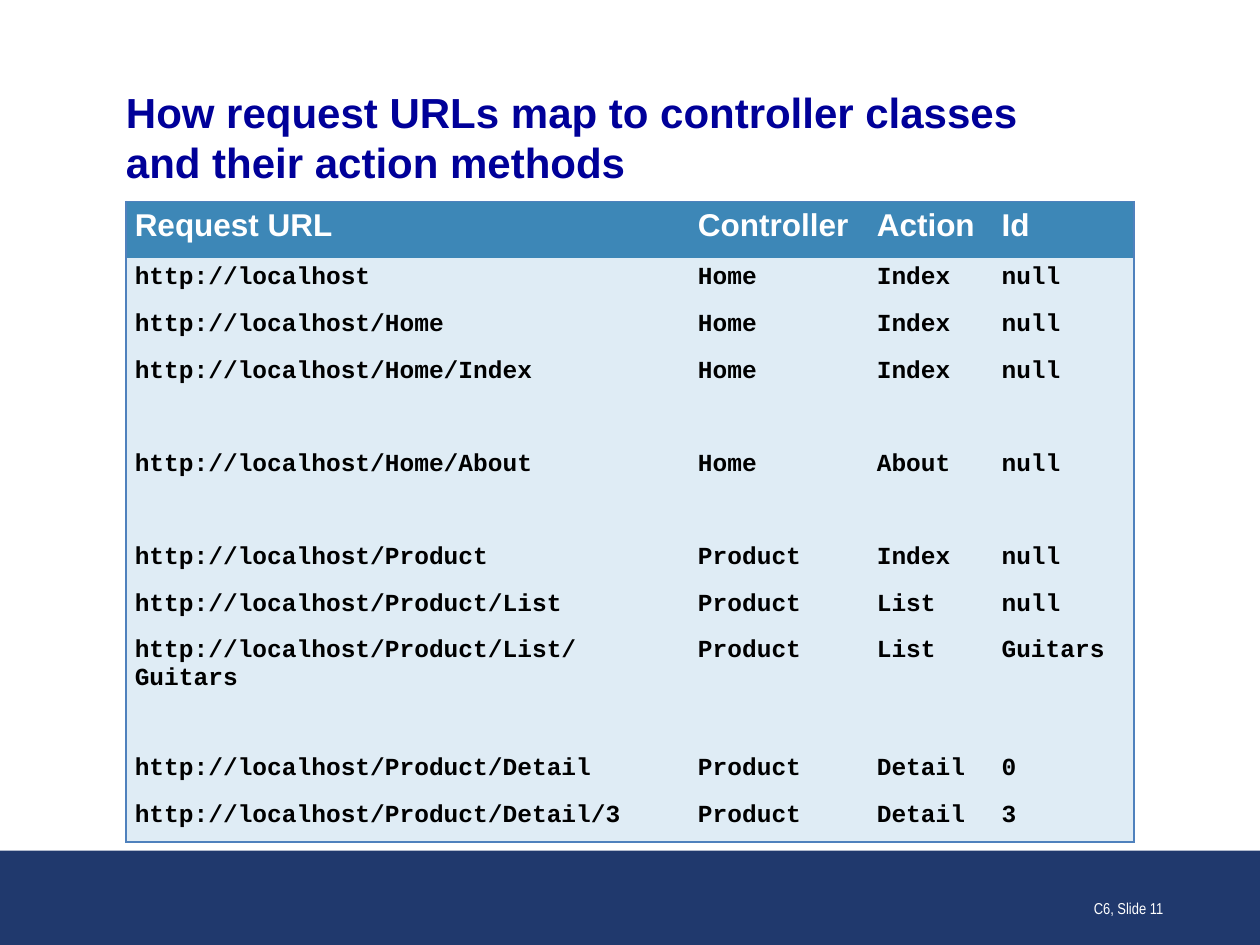
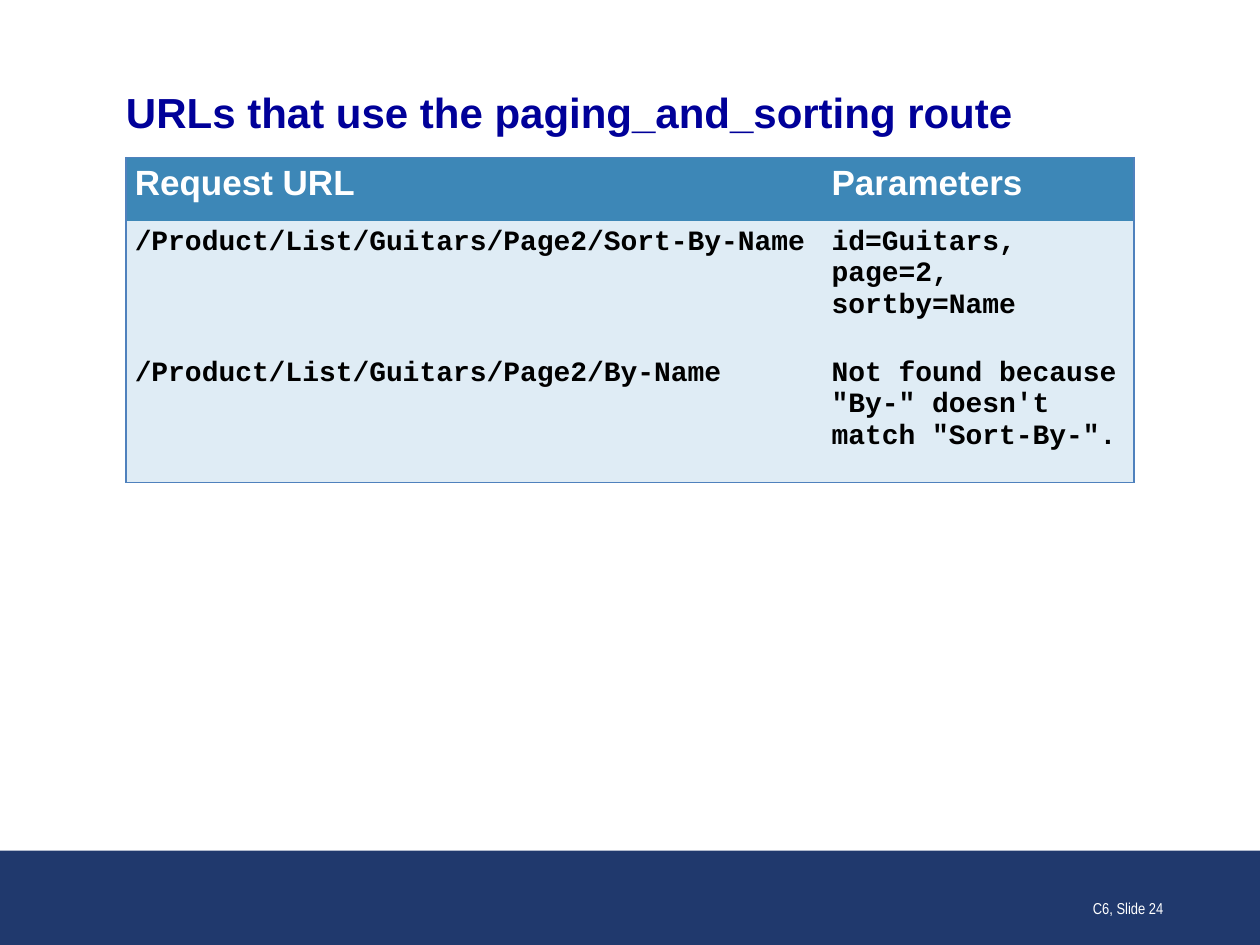
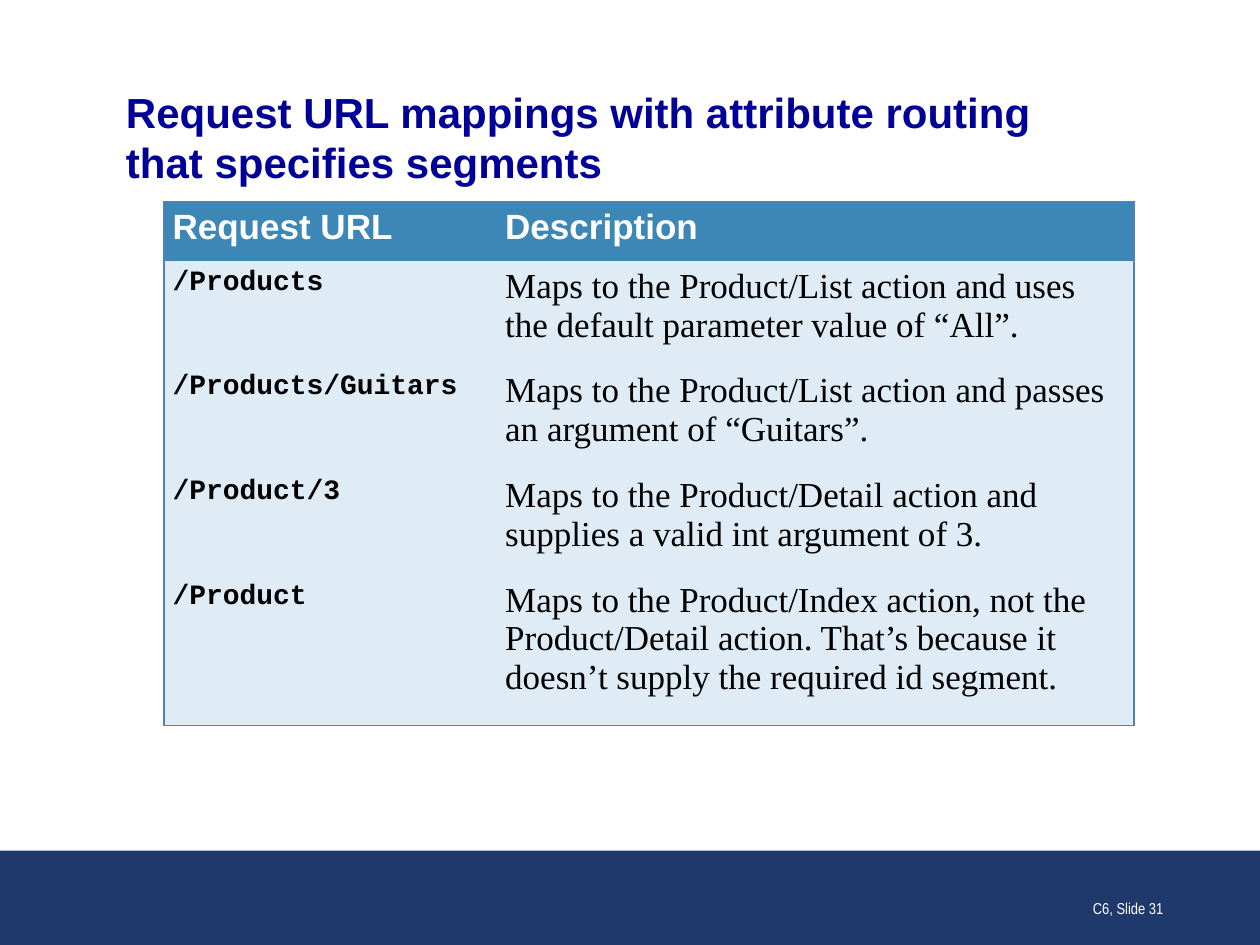
from dataclasses import dataclass

from lxml.etree import SubElement
from pptx import Presentation
from pptx.dml.color import RGBColor
from pptx.enum.shapes import MSO_SHAPE
from pptx.enum.text import MSO_ANCHOR, PP_ALIGN
from pptx.oxml import parse_xml
from pptx.oxml.ns import nsdecls, qn
from pptx.util import Inches, Pt

NAVY, TITLE_BLUE, WHITE, BLACK = "20396D", "000099", "FFFFFF", "000000"
HEADER_FILL, BODY_FILL, BORDER = "3D87B7", "DFECF5", "4F81BD"


@dataclass(frozen=True)
class TextStyle:
    font: str
    size: int
    color: str
    bold: bool = False
    before: int = 0
    after: int = 0


@dataclass(frozen=True)
class UrlTable:
    left: float
    top: float
    cols: list[float]
    heights: list[float]
    rows: list[list[str]]
    header: TextStyle
    body: list[TextStyle]


@dataclass(frozen=True)
class Page:
    number: int
    title: str
    title_top: float
    title_height: float
    table: UrlTable


def header_style(size: int) -> TextStyle:
    return TextStyle("Arial", size, WHITE, True, 6, 6)


def code_style(size: int) -> TextStyle:
    return TextStyle("Courier New", size, BLACK, True, 3, 6)


TITLE = TextStyle("Arial", 24, TITLE_BLUE, True, 15, 6)
FOOTER = TextStyle("Arial Narrow", 9, WHITE)
PROSE = TextStyle("Times New Roman", 20, BLACK, False, 3, 6)
GAP = [""] * 4
LOCAL = "http://localhost"

PAGES = [
    Page(11, "How request URLs map to controller classes\nand their action methods", 0.68, 0.81,
         UrlTable(1, 1.6, [4.47, 1.42, 0.99, 1.12], [0.45] + [0.37] * 12, [
             ["Request URL", "Controller", "Action", "Id"],
             [LOCAL, "Home", "Index", "null"],
             [LOCAL + "/Home", "Home", "Index", "null"],
             [LOCAL + "/Home/Index", "Home", "Index", "null"],
             GAP,
             [LOCAL + "/Home/About", "Home", "About", "null"],
             GAP,
             [LOCAL + "/Product", "Product", "Index", "null"],
             [LOCAL + "/Product/List", "Product", "List", "null"],
             [LOCAL + "/Product/List/Guitars", "Product", "List", "Guitars"],
             GAP,
             [LOCAL + "/Product/Detail", "Product", "Detail", "0"],
             [LOCAL + "/Product/Detail/3", "Product", "Detail", "3"],
         ], header_style(18), [code_style(14)] * 4)),
    Page(24, "URLs that use the paging_and_sorting route", 0.69, 0.4,
         UrlTable(1, 1.25, [5.53, 2.47], [0.5, 1.04, 1.04], [
             ["Request URL", "Parameters"],
             ["/Product/List/Guitars/Page2/Sort-By-Name", "id=Guitars, page=2, sortby=Name"],
             ["/Product/List/Guitars/Page2/By-Name",
              "Not found because \"By-\" doesn't match \"Sort-By-\"."],
         ], header_style(20), [code_style(16)] * 2)),
    Page(31, "Request URL mappings with attribute routing\nthat specifies segments", 0.68, 0.81,
         UrlTable(1.3, 1.6, [2.64, 5.06], [0.47] + [0.83] * 3 + [1.2], [
             ["Request URL", "Description"],
             ["/Products",
              "Maps to the Product/List action and uses the default parameter value of “All”."],
             ["/Products/Guitars",
              "Maps to the Product/List action and passes an argument of “Guitars”."],
             ["/Product/3",
              "Maps to the Product/Detail action and supplies a valid int argument of 3."],
             ["/Product",
              "Maps to the Product/Index action, not the Product/Detail action. "
              "That’s because it doesn’t supply the required id segment."],
         ], header_style(20), [code_style(16), PROSE])),
]


def rgb(color: str) -> RGBColor:
    return RGBColor.from_string(color)


def write(tf, text: str, style: TextStyle):
    """Fill the first paragraph of a text frame and format it."""
    p = tf.paragraphs[0]
    p.space_before, p.space_after = Pt(style.before), Pt(style.after)
    if not text:
        # An empty cell takes its line height from the paragraph end mark
        SubElement(p._p, qn("a:endParaRPr"), sz=str(style.size * 100))
        return p
    p.text = text
    for r in p.runs:
        r.font.name, r.font.size, r.font.bold = style.font, Pt(style.size), style.bold
        r.font.color.rgb = rgb(style.color)
    return p


def add_text(s, left: float, top: float, width: float, height: float,
             text: str, style: TextStyle, anchor: MSO_ANCHOR):
    tf = s.shapes.add_textbox(Inches(left), Inches(top), Inches(width), Inches(height)).text_frame
    tf.word_wrap, tf.vertical_anchor = True, anchor
    return tf, write(tf, text, style)


def set_borders(cell, sides: dict[str, bool]) -> None:
    """Draw the outer sides of a cell and clear the inner ones."""
    tc_pr = cell._tc.get_or_add_tcPr()
    for i, (side, drawn) in enumerate(sides.items()):
        fill = (f'<a:solidFill><a:srgbClr val="{BORDER}"/></a:solidFill>'
                if drawn else "<a:noFill/>")
        tc_pr.insert(i, parse_xml(f'<a:ln{side} {nsdecls("a")} w="12700">{fill}</a:ln{side}>'))


def add_url_table(s, t: UrlTable) -> None:
    n_rows, n_cols = len(t.rows), len(t.cols)
    table = s.shapes.add_table(n_rows, n_cols, Inches(t.left), Inches(t.top),
                               Inches(sum(t.cols)), Inches(sum(t.heights))).table
    for column, width in zip(table.columns, t.cols):
        column.width = Inches(width)
    for i, (values, height) in enumerate(zip(t.rows, t.heights)):
        table.rows[i].height = Inches(height)
        for j, value in enumerate(values):
            cell = table.cell(i, j)
            cell.margin_left, cell.margin_right = Inches(0.07), Inches(0.08)
            cell.margin_top = cell.margin_bottom = Inches(0.05)
            cell.fill.solid()
            cell.fill.fore_color.rgb = rgb(BODY_FILL if i else HEADER_FILL)
            write(cell.text_frame, value, t.body[j] if i else t.header)
            set_borders(cell, {"L": j == 0, "R": j == n_cols - 1,
                               "T": i == 0, "B": i == n_rows - 1})


def add_page(prs, page: Page) -> None:
    s = prs.slides.add_slide(prs.slide_layouts[6])
    # Bottom band
    band = s.shapes.add_shape(MSO_SHAPE.RECTANGLE, 0, Inches(6.75), Inches(10), Inches(0.75))
    band.shadow.inherit = False
    band.fill.solid()
    band.fill.fore_color.rgb = rgb(NAVY)
    band.line.fill.background()
    # Title
    tf, p = add_text(s, 1, page.title_top, 8, page.title_height, page.title, TITLE,
                     MSO_ANCHOR.MIDDLE)
    tf.margin_left = tf.margin_right = tf.margin_top = tf.margin_bottom = 0
    p.line_spacing = Pt(28.6)
    # Table and footer
    add_url_table(s, page.table)
    _, p = add_text(s, 7.25, 6.83, 2.08, 0.5, f"C6, Slide {page.number}", FOOTER,
                    MSO_ANCHOR.BOTTOM)
    p.alignment = PP_ALIGN.RIGHT


def main() -> None:
    prs = Presentation()
    prs.slide_width, prs.slide_height = Inches(10), Inches(7.5)
    for page in PAGES:
        add_page(prs, page)
    prs.save("out.pptx")


if __name__ == "__main__":
    main()
